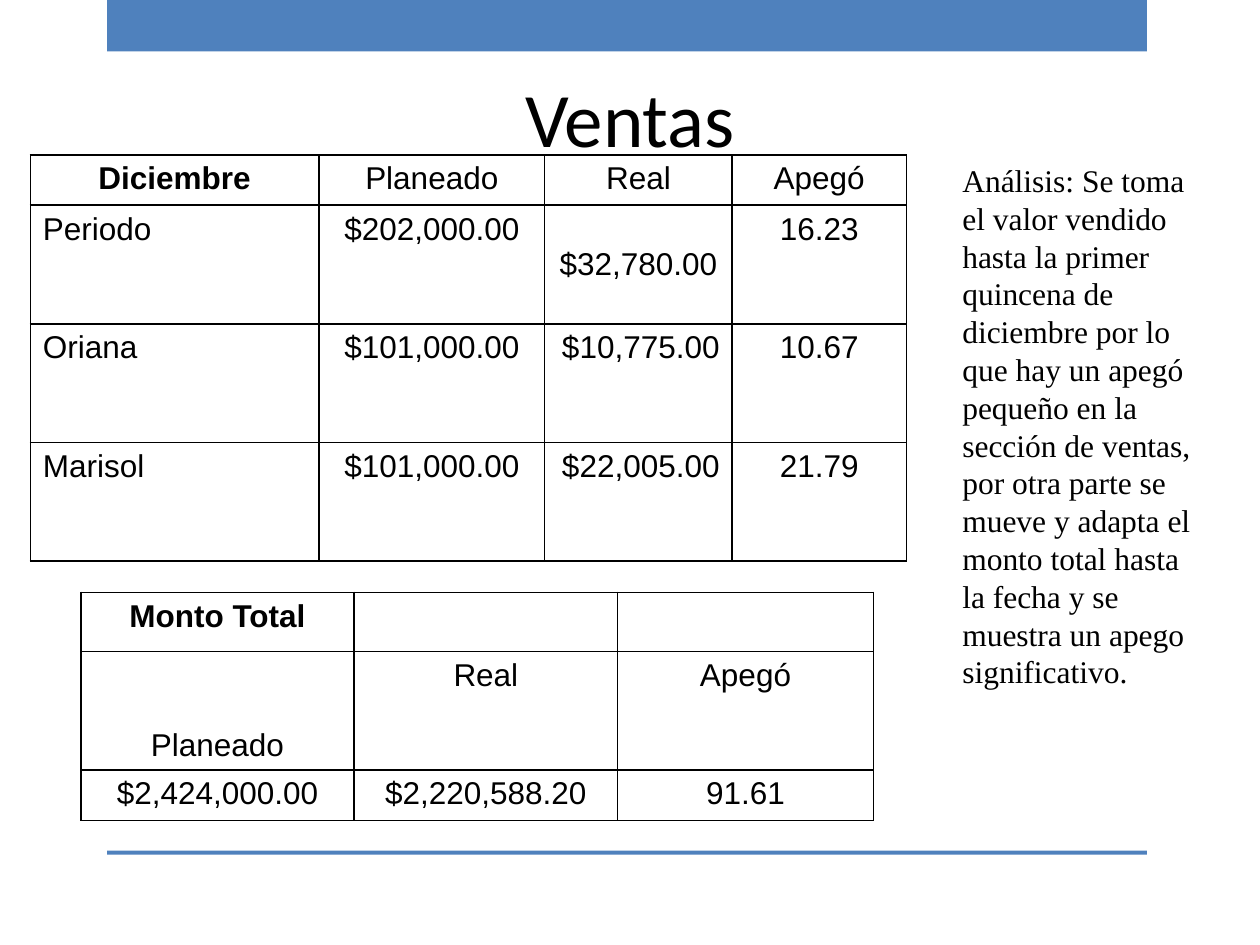
from pptx import Presentation
from pptx.dml.color import RGBColor
from pptx.enum.shapes import MSO_SHAPE
from pptx.enum.text import MSO_ANCHOR, PP_ALIGN
from pptx.oxml import parse_xml
from pptx.oxml.ns import nsdecls
from pptx.util import Cm, Pt

TITLE = "Ventas"
NOTE = ("Análisis: Se toma el valor vendido hasta la primer quincena de diciembre "
        "por lo que hay un apegó pequeño en la sección de ventas, por otra parte "
        "se mueve y adapta el monto total hasta la fecha y se muestra un apego "
        "significativo.")
SALES = [
    ["Diciembre", "Planeado", "Real", "Apegó"],
    ["Periodo", "$202,000.00", "$32,780.00", "16.23"],
    ["Oriana", "$101,000.00", "$10,775.00", "10.67"],
    ["Marisol", "$101,000.00", "$22,005.00", "21.79"],
]
TOTAL = [
    ["Monto Total", "", ""],
    ["Planeado", "Real", "Apegó"],
    ["$2,424,000.00", "$2,220,588.20", "91.61"],
]
HEX = {"blue": "4F81BD", "ink": "000000"}
LEFT, MID, RIGHT = PP_ALIGN.LEFT, PP_ALIGN.CENTER, PP_ALIGN.RIGHT
BARS = [(2.16, 0, 20.96, 1.04), (2.16, 17.15, 20.96, 0.08)]
GRIDS = [
    {"rows": SALES, "at": (0.61, 3.12),
     "wide": [5.82, 4.55, 3.78, 3.51], "high": [0.97, 2.39, 2.39, 2.39],
     "align": {(1, 0): LEFT, (2, 0): LEFT, (3, 0): LEFT,
               (2, 2): RIGHT, (3, 2): RIGHT},
     "anchor": {(1, 2): MSO_ANCHOR.MIDDLE}},
    {"rows": TOTAL, "at": (1.63, 11.94),
     "wide": [5.51, 5.31, 5.16], "high": [1.19, 2.39, 0.97],
     "align": {}, "anchor": {(1, 0): MSO_ANCHOR.BOTTOM}},
]
FONTS = {
    "title": {"name": "Calibri", "size": Pt(44), "bold": False},
    "note": {"name": "Times New Roman", "size": Pt(18)},
    "cell": {"name": "Arial", "size": Pt(18), "bold": False},
    "head": {"name": "Arial", "size": Pt(18), "bold": True},
}


def apply(item, vals):
    for key, val in vals.items():
        setattr(item, key, val)


def write(frame, text, font, align=LEFT):
    frame.text = text
    para = frame.paragraphs[0]
    para.alignment = align
    apply(para.font, FONTS[font])
    for run in para.runs:
        apply(run.font, FONTS[font])
        run.font.color.rgb = RGBColor.from_string(HEX["ink"])


def edge(cell):
    props = cell._tc.get_or_add_tcPr()
    for pos, side in enumerate(("lnL", "lnR", "lnT", "lnB")):
        props.insert(pos, parse_xml(
            f'<a:{side} {nsdecls("a")} w="12700"><a:solidFill>'
            f'<a:srgbClr val="{HEX["ink"]}"/></a:solidFill></a:{side}>'))


def draw_bar(slide, box):
    bar = slide.shapes.add_shape(MSO_SHAPE.RECTANGLE, *map(Cm, box))
    bar.shadow.inherit = False
    bar.fill.solid()
    bar.fill.fore_color.rgb = RGBColor.from_string(HEX["blue"])
    bar.line.fill.background()


def draw_grid(slide, grid):
    rows, wide, high = grid["rows"], grid["wide"], grid["high"]
    box = (*grid["at"], sum(wide), sum(high))
    table = slide.shapes.add_table(len(high), len(wide), *map(Cm, box)).table
    apply(table, {"first_row": False, "horz_banding": False})
    for col, size in zip(table.columns, wide):
        col.width = Cm(size)
    for row, size in zip(table.rows, high):
        row.height = Cm(size)
    for r, line in enumerate(rows):
        for c, text in enumerate(line):
            cell = table.cell(r, c)
            font = "head" if r == c == 0 else "cell"
            write(cell.text_frame, text, font, grid["align"].get((r, c), MID))
            cell.vertical_anchor = grid["anchor"].get((r, c), MSO_ANCHOR.TOP)
            cell.fill.background()
            edge(cell)


def main():
    deck = Presentation()
    apply(deck, {"slide_width": Cm(25.4), "slide_height": Cm(19.05)})
    slide = deck.slides.add_slide(deck.slide_layouts[5])
    for box in BARS:
        draw_bar(slide, box)
    title = slide.shapes.title
    apply(title, {"left": Cm(1.27), "top": Cm(0.76),
                  "width": Cm(22.86), "height": Cm(3.18)})
    write(title.text_frame, TITLE, "title", MID)
    title.text_frame.vertical_anchor = MSO_ANCHOR.MIDDLE
    note = slide.shapes.add_textbox(Cm(19.15), Cm(3.12), Cm(5.13), Cm(9.4))
    note.text_frame.word_wrap = True
    write(note.text_frame, NOTE, "note")
    for grid in GRIDS:
        draw_grid(slide, grid)
    deck.save("out.pptx")


if __name__ == "__main__":
    main()
